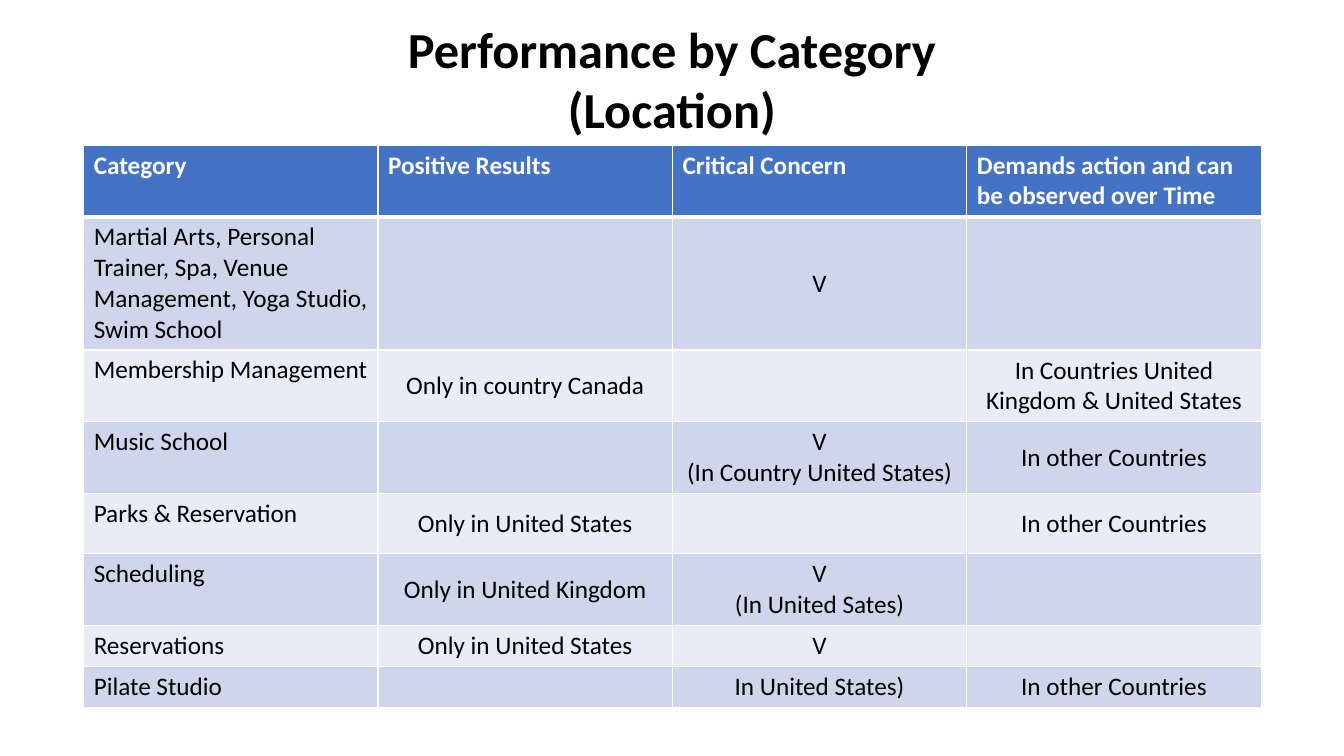
"""Build the slide with a table of performance by category and location."""
from dataclasses import dataclass

from lxml.etree import SubElement
from pptx import Presentation
from pptx.dml.color import RGBColor
from pptx.enum.text import MSO_ANCHOR, PP_ALIGN
from pptx.oxml.ns import qn
from pptx.util import Inches, Pt


@dataclass(frozen=True)
class Theme:
    font: str = "Calibri"
    title_size: int = 36
    table_size: int = 18
    text: str = "000000"
    header_text: str = "FFFFFF"
    header_fill: str = "4472C4"
    band_fills: tuple = ("E9EBF5", "CFD5EA")
    border: str = "FFFFFF"
    border_width: int = 1
    header_rule_width: int = 3


theme = Theme()


def add_run(paragraph, text, size, color, bold):
    run = paragraph.add_run()
    run.text = text
    run.font.name = theme.font
    run.font.size = Pt(size)
    run.font.bold = bold
    run.font.color.rgb = RGBColor.from_string(color)


def add_border(cell, side, width):
    properties = cell._tc.get_or_add_tcPr()
    line = SubElement(properties, qn(f"a:ln{side}"), w=str(Pt(width)))
    fill = SubElement(line, qn("a:solidFill"))
    SubElement(fill, qn("a:srgbClr"), val=theme.border)


presentation = Presentation()
presentation.slide_width = Inches(13.33)
presentation.slide_height = Inches(7.5)
slide = presentation.slides.add_slide(presentation.slide_layouts[6])

rows = [
    (0.71, ["Category", "Positive Results", "Critical Concern",
            "Demands action and can be observed over Time"]),
    (1.31, ["Martial Arts, Personal Trainer, Spa, Venue Management, "
            "Yoga Studio, Swim School", "", "V", ""]),
    (0.71, ["Membership Management", "Only in country Canada", "",
            "In Countries United Kingdom & United States"]),
    (0.71, ["Music School", "", "V\n(In Country United States)", "In other Countries"]),
    (0.6, ["Parks & Reservation", "Only in United States", "", "In other Countries"]),
    (0.71, ["Scheduling", "Only in United Kingdom", "V\n(In United Sates)", ""]),
    (0.41, ["Reservations", "Only in United States", "V", ""]),
    (0.41, ["Pilate Studio", "", "In United States)", "In other Countries"]),
]
column_count = len(rows[0][1])
table_height = sum(height for height, texts in rows)
table = slide.shapes.add_table(
    len(rows), column_count, Inches(0.83), Inches(1.44), Inches(11.68), Inches(table_height)
).table
for column in table.columns:
    column.width = Inches(11.68 / column_count)

for row_index, (height, texts) in enumerate(rows):
    table.rows[row_index].height = Inches(height)
    is_header = row_index == 0
    fill_color = theme.header_fill if is_header else theme.band_fills[row_index % 2]
    text_color = theme.header_text if is_header else theme.text
    top_width = theme.header_rule_width if row_index == 1 else theme.border_width
    bottom_width = theme.header_rule_width if is_header else theme.border_width
    for column_index, text in enumerate(texts):
        cell = table.cell(row_index, column_index)
        add_border(cell, "L", theme.border_width)
        add_border(cell, "R", theme.border_width)
        add_border(cell, "T", top_width)
        add_border(cell, "B", bottom_width)
        cell.fill.solid()
        cell.fill.fore_color.rgb = RGBColor.from_string(fill_color)
        if not text:
            continue
        is_centered = not is_header and column_index > 0
        cell.vertical_anchor = MSO_ANCHOR.MIDDLE if is_centered else MSO_ANCHOR.TOP
        for line_index, line_text in enumerate(text.split("\n")):
            frame = cell.text_frame
            paragraph = frame.add_paragraph() if line_index else frame.paragraphs[0]
            paragraph.alignment = PP_ALIGN.CENTER if is_centered else PP_ALIGN.LEFT
            add_run(paragraph, line_text, theme.table_size, text_color, is_header)

title = slide.shapes.add_textbox(Inches(3.33), Inches(0.13), Inches(6.67), Inches(1.31))
title.text_frame.word_wrap = True
title_paragraph = title.text_frame.paragraphs[0]
title_paragraph.alignment = PP_ALIGN.CENTER
add_run(title_paragraph, "Performance by Category (Location)", theme.title_size, theme.text, True)

presentation.save("out.pptx")
